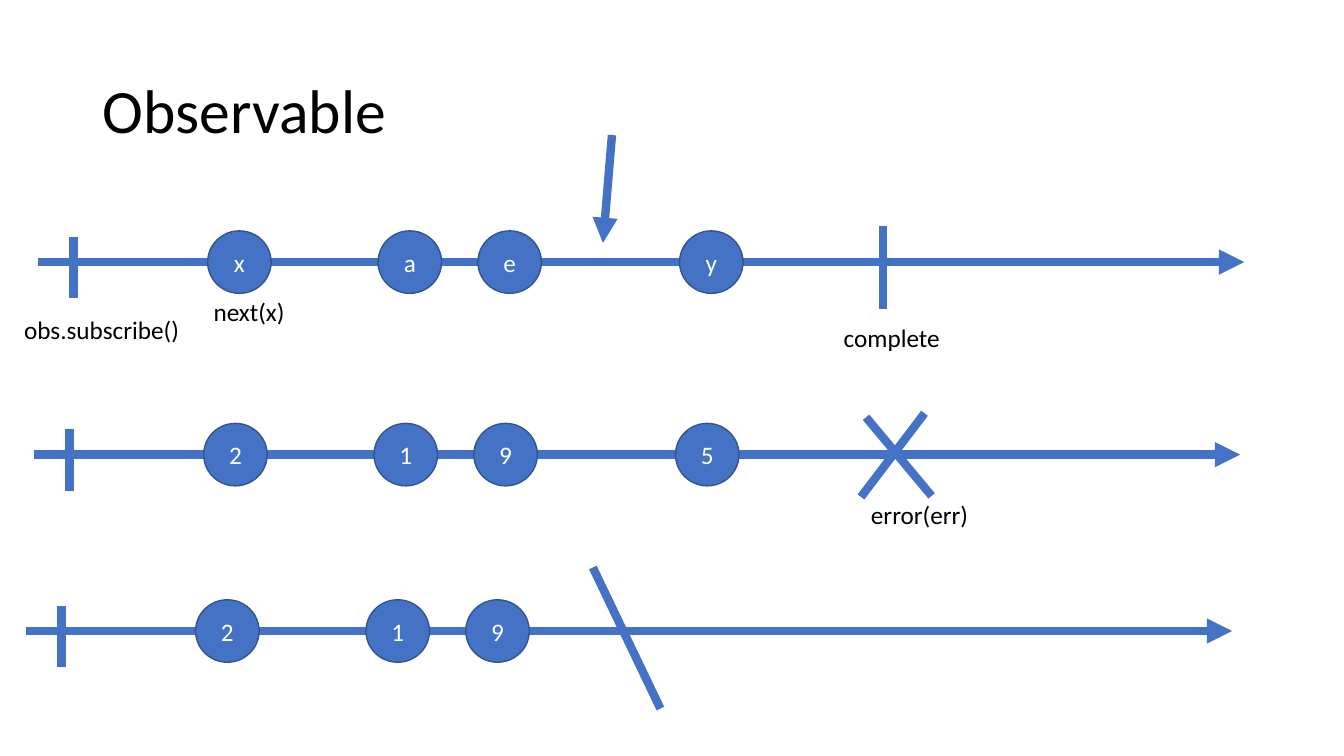
from lxml import etree
from pptx import Presentation
from pptx import util as u
from pptx.dml.color import RGBColor
from pptx.enum import shapes, text
from pptx.oxml import ns

PX = 9144  # EMU per px, 100 px to the inch
BLUE = RGBColor(0x44, 0x72, 0xC4)
DARK_BLUE = RGBColor(0x32, 0x54, 0x91)
BLACK = RGBColor(0, 0, 0)
WHITE = RGBColor(255, 255, 255)
FONT = "Calibri"

# Each timeline: left end, height, emitted values
TIMELINES = [(38, 260, "xaey"), (34, 451, "2195"), (26, 626, "219")]
TIMELINE_LENGTH = 1196
SUBSCRIBE_OFFSET = 35
VALUE_OFFSETS = [168, 337, 436, 636]

LABELS = [
    ("obs.subscribe()", 14, 307, 176),
    ("next(x)", 202, 289, 91),
    ("complete", 827, 315, 117),
    ("error(err)", 854, 490, 118),
]

# Complete bar, the two strokes of the error cross, unsubscribe stroke
END_MARKS = [
    (876, 224, 876, 307),
    (859, 414, 924, 492),
    (917, 410, 854, 493),
    (588, 563, 655, 703),
]


def px(*lengths):
    return [u.Emu(length * PX) for length in lengths]


def add_run(paragraph, words, size, color):
    run = paragraph.add_run()
    run.text = words
    run.font.name = FONT
    run.font.size = u.Pt(size)
    run.font.color.rgb = color


def add_title(slide, words):
    title = slide.shapes.title
    title.left, title.top, title.width, title.height = px(92, 40, 1150, 145)
    frame = title.text_frame
    frame.auto_size = text.MSO_AUTO_SIZE.NONE
    frame.vertical_anchor = text.MSO_ANCHOR.MIDDLE
    paragraph = frame.paragraphs[0]
    paragraph.alignment = text.PP_ALIGN.LEFT
    paragraph.line_spacing = 0.9
    add_run(paragraph, words, 44, BLACK)


def add_line(slide, x1, y1, x2, y2, arrow=False):
    line = slide.shapes.add_connector(
        shapes.MSO_CONNECTOR.STRAIGHT, *px(x1, y1, x2, y2))
    line.line.color.rgb = BLUE
    line.line.width = u.Pt(6)
    if arrow:
        outline = line.line._get_or_add_ln()
        etree.SubElement(outline, ns.qn("a:tailEnd"), type="triangle")
    etree.SubElement(line._element.spPr, ns.qn("a:effectLst"))


def add_value(slide, left, top, words):
    circle = slide.shapes.add_shape(
        shapes.MSO_SHAPE.OVAL, *px(left, top, 63, 62))
    circle.shadow.inherit = False
    circle.fill.solid()
    circle.fill.fore_color.rgb = BLUE
    circle.line.color.rgb = DARK_BLUE
    circle.line.width = u.Pt(1)
    frame = circle.text_frame
    frame.vertical_anchor = text.MSO_ANCHOR.MIDDLE
    paragraph = frame.paragraphs[0]
    paragraph.alignment = text.PP_ALIGN.CENTER
    add_run(paragraph, words, 18, WHITE)


def add_label(slide, words, left, top, width):
    label = slide.shapes.add_textbox(*px(left, top, width, 40))
    frame = label.text_frame
    frame.word_wrap = False
    frame.auto_size = text.MSO_AUTO_SIZE.SHAPE_TO_FIT_TEXT
    add_run(frame.paragraphs[0], words, 18, BLACK)


def add_timeline(slide, left, y, values):
    add_line(slide, left, y, left + TIMELINE_LENGTH, y, arrow=True)
    subscribe = left + SUBSCRIBE_OFFSET
    add_line(slide, subscribe, y - 25, subscribe, y + 36)
    for offset, value in zip(VALUE_OFFSETS, values):
        add_value(slide, left + offset, y - 31, value)


def main():
    presentation = Presentation()
    presentation.slide_width, presentation.slide_height = px(1333, 750)
    slide = presentation.slides.add_slide(presentation.slide_layouts[5])
    add_title(slide, "Observable")

    # Streams and how they end
    for timeline in TIMELINES:
        add_timeline(slide, *timeline)
    for mark in END_MARKS:
        add_line(slide, *mark)

    # Callback names and the pointer to the first stream
    for label in LABELS:
        add_label(slide, *label)
    add_line(slide, 607, 134, 598, 241, arrow=True)

    presentation.save("out.pptx")


if __name__ == "__main__":
    main()
